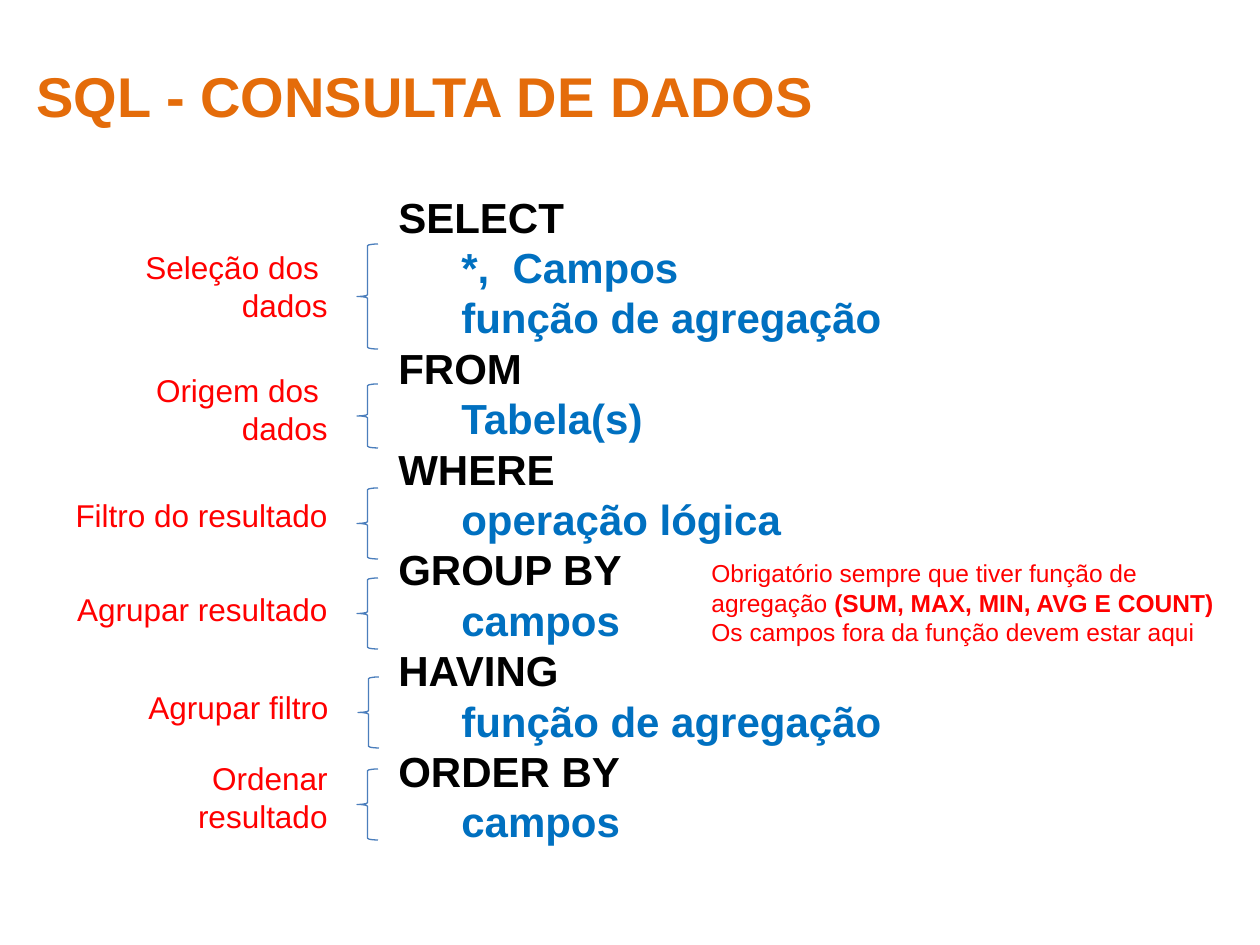
from pptx import Presentation
from pptx.dml.color import RGBColor
from pptx.enum.shapes import MSO_SHAPE
from pptx.enum.text import MSO_ANCHOR, PP_ALIGN
from pptx.util import Pt

PIXEL = 914400 / 126
COLORS = {"title": "E46C0A", "keyword": "000000", "operand": "0070C0",
          "note": "FF0000", "brace": "4B7EBC"}


class QuerySlide:
    """Holds the style and the slide on which the elements are placed."""

    def __init__(self, slide, font="Arial"):
        self.slide = slide
        self.font = font

    def box(self, *pixels):
        return [round(value * PIXEL) for value in pixels]

    def color(self, name):
        return RGBColor.from_string(COLORS[name])

    def text(self, place, paragraphs, size, anchor=MSO_ANCHOR.TOP,
             align=PP_ALIGN.LEFT, margin=0):
        frame = self.slide.shapes.add_textbox(*self.box(*place)).text_frame
        frame.word_wrap = True
        frame.vertical_anchor = anchor
        for index, parts in enumerate(paragraphs):
            paragraph = frame.add_paragraph() if index else frame.paragraphs[0]
            paragraph.alignment = align
            if margin:
                properties = paragraph._p.get_or_add_pPr()
                properties.set("marL", str(round(margin * PIXEL)))
                properties.set("indent", "0")
            for wording, color, bold in parts:
                run = paragraph.add_run()
                run.text = wording
                run.font.name = self.font
                run.font.size = Pt(size)
                run.font.bold = bold
                run.font.color.rgb = self.color(color)

    def brace(self, *place):
        brace = self.slide.shapes.add_shape(MSO_SHAPE.LEFT_BRACE, *self.box(*place))
        brace.shadow.inherit = False
        brace.fill.background()
        brace.line.color.rgb = self.color("brace")
        brace.line.width = Pt(0.75)

    def label(self, left, top, lines):
        self.text((left, top, 287, 84), [[(line, "note", False)] for line in lines],
                  18, MSO_ANCHOR.MIDDLE, PP_ALIGN.RIGHT)


presentation = Presentation()
presentation.slide_width = round(1260 * PIXEL)
presentation.slide_height = round(945 * PIXEL)
query = QuerySlide(presentation.slides.add_slide(presentation.slide_layouts[6]))

query.text((24, 26, 1188, 139), [[("SQL - CONSULTA DE DADOS", "title", True)]],
           32, MSO_ANCHOR.MIDDLE)

clauses = [
    ("SELECT ", ["*,  Campos", "função de agregação"]),
    ("FROM", ["Tabela(s)"]),
    ("WHERE", ["operação lógica"]),
    ("GROUP BY", ["campos"]),
    ("HAVING", ["função de agregação"]),
    ("ORDER BY", ["campos"]),
]
statement = []
for keyword, operands in clauses:
    statement.append([(keyword, "keyword", True)])
    statement += [[("\t" + operand, "operand", True)] for operand in operands]
query.text((134, 185, 1081, 645), statement, 24, margin=252)

explanations = [
    (["Seleção dos ", "dados"], 53, 244, 357, 244, 105),
    (["Origem dos ", "dados"], 53, 367, 357, 384, 64),
    (["Filtro do resultado"], 53, 473, 357, 488, 71),
    (["Agrupar resultado"], 53, 567, 357, 578, 71),
    (["Agrupar filtro"], 54, 665, 358, 677, 71),
    (["Ordenar", "resultado"], 53, 755, 357, 769, 71),
]
for lines, label_left, label_top, brace_left, brace_top, brace_height in explanations:
    query.brace(brace_left, brace_top, 21, brace_height)
    query.label(label_left, label_top, lines)

query.text((699, 552, 536, 98), [[
    ("Obrigatório sempre que tiver função de agregação ", "note", False),
    ("(SUM, MAX, MIN, AVG E COUNT)", "note", True),
    (" Os campos fora da função devem estar aqui", "note", False),
]], 14)

presentation.save("out.pptx")
